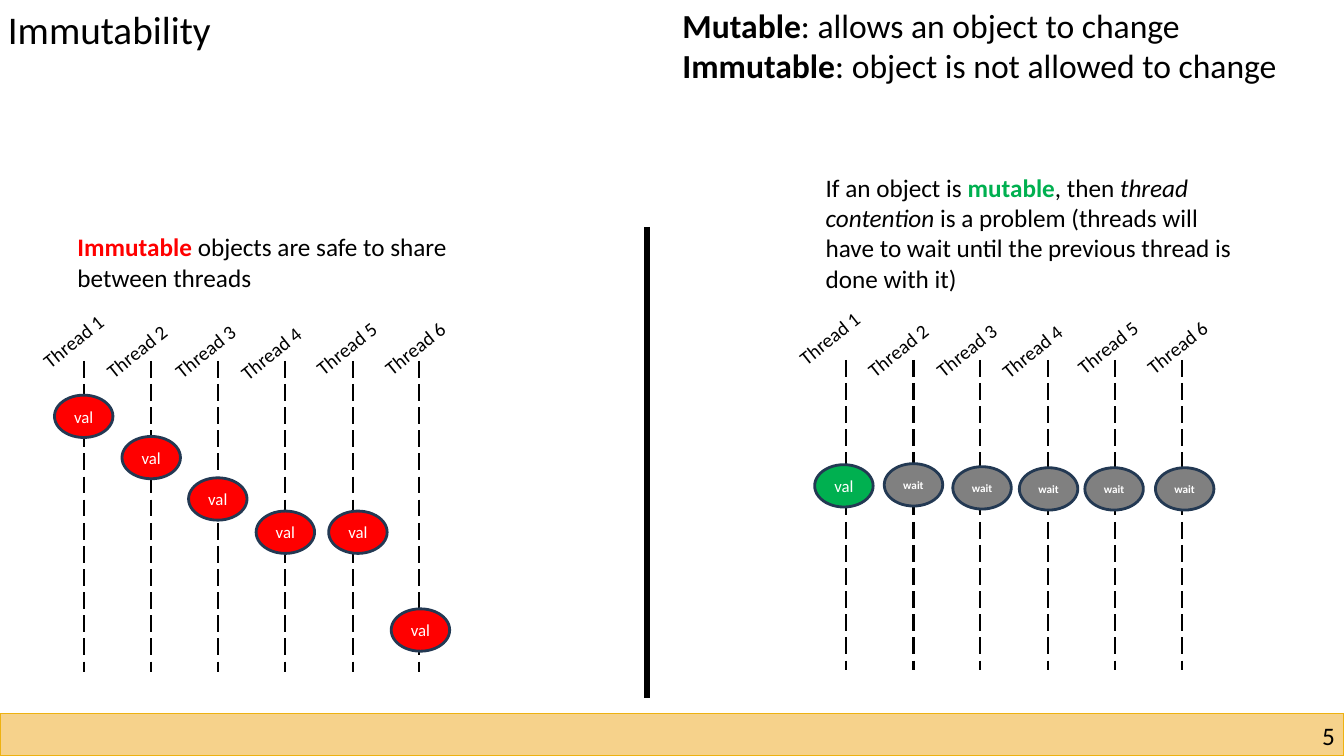
from dataclasses import dataclass

from lxml.etree import SubElement
from pptx import Presentation
from pptx.dml.color import RGBColor
from pptx.enum.dml import MSO_LINE as Dash
from pptx.enum.shapes import MSO_CONNECTOR as Link, MSO_SHAPE as Form
from pptx.enum.text import MSO_ANCHOR as Anchor, MSO_AUTO_SIZE as Fit, PP_ALIGN as Align
from pptx.oxml.ns import qn
from pptx.util import Emu, Pt

PX = 9144
FONT = "Calibri"
BLACK = RGBColor(0x00, 0x00, 0x00)
WHITE = RGBColor(0xFF, 0xFF, 0xFF)
RED = RGBColor(0xFF, 0x00, 0x00)
GREEN = RGBColor(0x00, 0xB0, 0x50)
GRAY = RGBColor(0x80, 0x80, 0x80)
NAVY = RGBColor(0x23, 0x39, 0x53)
SAND = RGBColor(0xF6, 0xD2, 0x8B)
GOLD = RGBColor(0xEE, 0xB2, 0x11)


@dataclass(frozen=True)
class Run:
    text: str
    bold: bool = False
    ital: bool = False
    color: RGBColor = BLACK


@dataclass(frozen=True)
class Token:
    text: str
    fill: RGBColor
    size: int = 12
    bold: bool = False


@dataclass(frozen=True)
class Thread:
    label: tuple[int, int]
    oval: tuple[int, int]
    token: Token


@dataclass(frozen=True)
class Panel:
    left: int
    top: int
    bottom: int
    threads: tuple[Thread, ...]


SAFE = Token("val", RED)
HELD = Token("val", GREEN)
WAIT = Token("wait", GRAY, 8, True)

PANELS = (
    Panel(83, 358, 667, (
        Thread((27, 319), (54, 392), SAFE),
        Thread((90, 329), (121, 433), SAFE),
        Thread((158, 329), (187, 474), SAFE),
        Thread((223, 331), (254, 507), SAFE),
        Thread((298, 326), (326, 507), SAFE),
        Thread((366, 326), (388, 604), SAFE),
    )),
    Panel(839, 357, 665, (
        Thread((777, 316), (808, 461), HELD),
        Thread((845, 328), (877, 460), WAIT),
        Thread((913, 328), (945, 463), WAIT),
        Thread((978, 329), (1011, 464), WAIT),
        Thread((1053, 325), (1076, 464), WAIT),
        Thread((1122, 325), (1146, 464), WAIT),
    )),
)


def px(*vals: int) -> list[Emu]:
    return [Emu(val * PX) for val in vals]


def write(frame, *paras: list[Run], size: int, align=Align.LEFT) -> None:
    for num, runs in enumerate(paras):
        para = frame.add_paragraph() if num else frame.paragraphs[0]
        para.alignment = align
        for item in runs:
            run = para.add_run()
            run.text = item.text
            font = run.font
            font.name, font.size = FONT, Pt(size)
            font.bold, font.italic = item.bold, item.ital
            font.color.rgb = item.color


def text(slide, box: tuple[int, int, int, int], *paras: list[Run], size: int,
         wrap: bool = False, align=Align.LEFT, turn: float = 0, inset: bool = True) -> None:
    shape = slide.shapes.add_textbox(*px(*box))
    shape.rotation = turn
    frame = shape.text_frame
    frame.word_wrap = wrap
    frame.auto_size = Fit.SHAPE_TO_FIT_TEXT
    if not inset:
        frame.margin_left = frame.margin_right = 0
        frame.margin_top = frame.margin_bottom = 0
    write(frame, *paras, size=size, align=align)


def block(slide, form: Form, box: tuple[int, int, int, int], fill: RGBColor,
          edge: RGBColor, width: float):
    shape = slide.shapes.add_shape(form, *px(*box))
    shape.shadow.inherit = False
    shape.fill.solid()
    shape.fill.fore_color.rgb = fill
    shape.line.color.rgb = edge
    shape.line.width = Pt(width)
    return shape


def rule(slide, x: int, top: int, bottom: int, width: float, dash: bool = False) -> None:
    line = slide.shapes.add_connector(Link.STRAIGHT, *px(x, top, x, bottom))
    line.line.color.rgb = BLACK
    line.line.width = Pt(width)
    if dash:
        line.line.dash_style = Dash.LONG_DASH
    SubElement(line._element.spPr, qn("a:effectLst"))


def oval(slide, spot: tuple[int, int], token: Token) -> None:
    shape = block(slide, Form.OVAL, (*spot, 58, 42), token.fill, NAVY, 2)
    frame = shape.text_frame
    frame.vertical_anchor = Anchor.MIDDLE
    write(frame, [Run(token.text, token.bold, color=WHITE)], size=token.size, align=Align.CENTER)


def draw(slide, panel: Panel) -> None:
    for num in range(len(panel.threads)):
        rule(slide, panel.left + round(num * 200 / 3), panel.top, panel.bottom, 1.5, True)
    for num, thread in enumerate(panel.threads, 1):
        oval(slide, thread.oval, thread.token)
        text(slide, (*thread.label, 98, 34), [Run(f"Thread {num}")], size=14, turn=321.4)


def main() -> None:
    deck = Presentation()
    deck.slide_width, deck.slide_height = px(1333, 750)
    slide = deck.slides.add_slide(deck.slide_layouts[6])

    block(slide, Form.RECTANGLE, (0, 708, 1333, 42), SAND, GOLD, 1)
    text(slide, (1017, 715, 307, 30), [Run("5")], size=18, wrap=True,
         align=Align.RIGHT, inset=False)
    text(slide, (-2, 0, 230, 57), [Run("Immutability")], size=28)
    text(slide, (667, 0, 668, 91),
         [Run("Mutable", True), Run(": allows an object to change")],
         [Run("Immutable", True), Run(": object is not allowed to change")], size=24)
    text(slide, (67, 225, 442, 71),
         [Run("Immutable", True, color=RED),
          Run(" objects are safe to share between threads")], size=18, wrap=True)
    text(slide, (809, 166, 442, 131),
         [Run("If an object is "), Run("mutable", True, color=GREEN), Run(", then "),
          Run("thread contention", ital=True),
          Run(" is a problem (threads will have to wait until the previous thread is done with it)")],
         size=18, wrap=True)
    rule(slide, 642, 225, 692, 4.5)
    for panel in PANELS:
        draw(slide, panel)
    deck.save("out.pptx")


if __name__ == "__main__":
    main()
